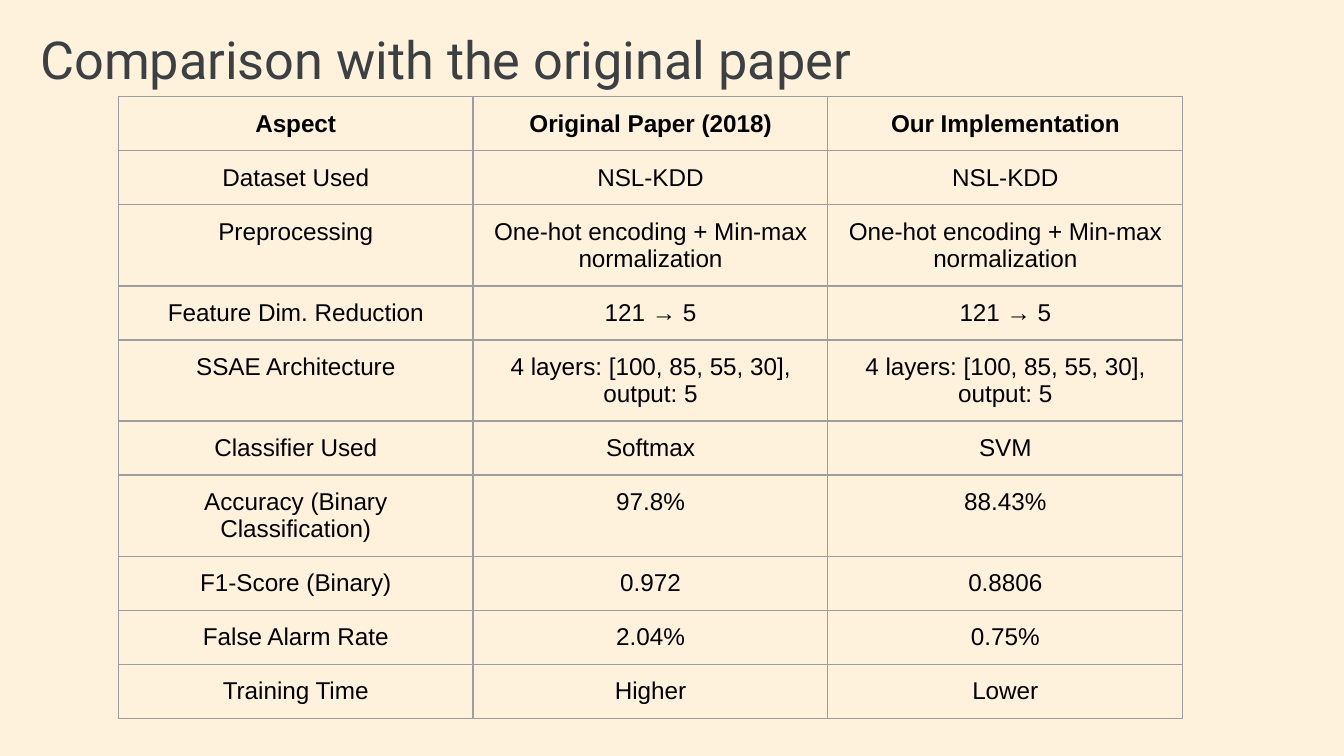
from lxml import etree
from pptx import Presentation
from pptx.dml.color import RGBColor
from pptx.enum.text import MSO_ANCHOR, PP_ALIGN
from pptx.oxml.ns import qn
from pptx.util import Inches, Pt

CENTER, LEFT = PP_ALIGN.CENTER, PP_ALIGN.LEFT
MIDDLE, TOP = MSO_ANCHOR.MIDDLE, MSO_ANCHOR.TOP
TITLE_ONLY = 5
STEP = 0.1
ROW, TALL, MID = 3.8, 5.9, 4.8


def color(code):
    return RGBColor.from_string(code)


def grid(count):
    return Inches(count * STEP)


class Deck:
    back, ink, dark, rule = "FFF2DC", "000000", "3C4043", "9E9E9E"
    head, body = "Roboto", "Arial"

    def __init__(self, wide, high):
        self.prs = Presentation()
        self.prs.slide_width, self.prs.slide_height = grid(wide), grid(high)
        self.slide = self.prs.slides.add_slide(self.prs.slide_layouts[TITLE_ONLY])
        fill = self.slide.background.fill
        fill.solid()
        fill.fore_color.rgb = color(self.back)

    def label(self, frame, text, font, size, code, align, bold=False):
        para = frame.paragraphs[0]
        para.alignment = align
        run = para.add_run()
        run.text = text
        run.font.name, run.font.size, run.font.bold = font, Pt(size), bold
        run.font.color.rgb = color(code)

    def title(self, text, left, top, wide, high):
        shape = self.slide.shapes.title
        shape.left, shape.top = grid(left), grid(top)
        shape.width, shape.height = grid(wide), grid(high)
        frame = shape.text_frame
        frame.margin_left = frame.margin_right = frame.margin_bottom = 0
        frame.margin_top = grid(1)
        frame.vertical_anchor = MIDDLE
        self.label(frame, text, self.head, 28, self.dark, LEFT)

    def border(self, cell):
        props = cell._tc.get_or_add_tcPr()
        for spot, side in enumerate(("lnL", "lnR", "lnT", "lnB")):
            line = etree.Element(qn(f"a:{side}"), w=str(Pt(0.75)))
            fill = etree.SubElement(line, qn("a:solidFill"))
            etree.SubElement(fill, qn("a:srgbClr"), val=self.rule)
            props.insert(spot, line)

    def cell(self, cell, text, bold):
        cell.margin_left = cell.margin_right = grid(1)
        cell.margin_top = cell.margin_bottom = grid(1)
        cell.vertical_anchor = TOP
        cell.fill.background()
        self.border(cell)
        self.label(cell.text_frame, text, self.body, 13, self.ink, CENTER, bold)

    def table(self, rows, left, top, wide):
        cols = len(rows[0]) - 1
        high = sum(row[0] for row in rows)
        table = self.slide.shapes.add_table(
            len(rows), cols, grid(left), grid(top), grid(wide * cols), grid(high)
        ).table
        table.first_row = table.horz_banding = False
        for col in table.columns:
            col.width = grid(wide)
        for r, (tall, *texts) in enumerate(rows):
            table.rows[r].height = grid(tall)
            for c, text in enumerate(texts):
                self.cell(table.cell(r, c), text, r == 0)


def main():
    scale = "One-hot encoding + Min-max normalization"
    layers = "4 layers: [100, 85, 55, 30], output: 5"
    rows = [
        (ROW, "Aspect", "Original Paper (2018)", "Our Implementation"),
        (ROW, "Dataset Used", "NSL-KDD", "NSL-KDD"),
        (TALL, "Preprocessing", scale, scale),
        (ROW, "Feature Dim. Reduction", "121 → 5", "121 → 5"),
        (TALL, "SSAE Architecture", layers, layers),
        (ROW, "Classifier Used", "Softmax", "SVM"),
        (MID, "Accuracy (Binary Classification)", "97.8%", "88.43%"),
        (ROW, "F1-Score (Binary)", "0.972", "0.8806"),
        (ROW, "False Alarm Rate", "2.04%", "0.75%"),
        (ROW, "Training Time", "Higher", "Lower"),
    ]
    deck = Deck(100, 56.25)
    deck.title("Comparison with the original paper", 3, 0.8, 93.9, 6.1)
    deck.table(rows, 8.8, 7.2, 26.4)
    deck.prs.save("out.pptx")


if __name__ == "__main__":
    main()
